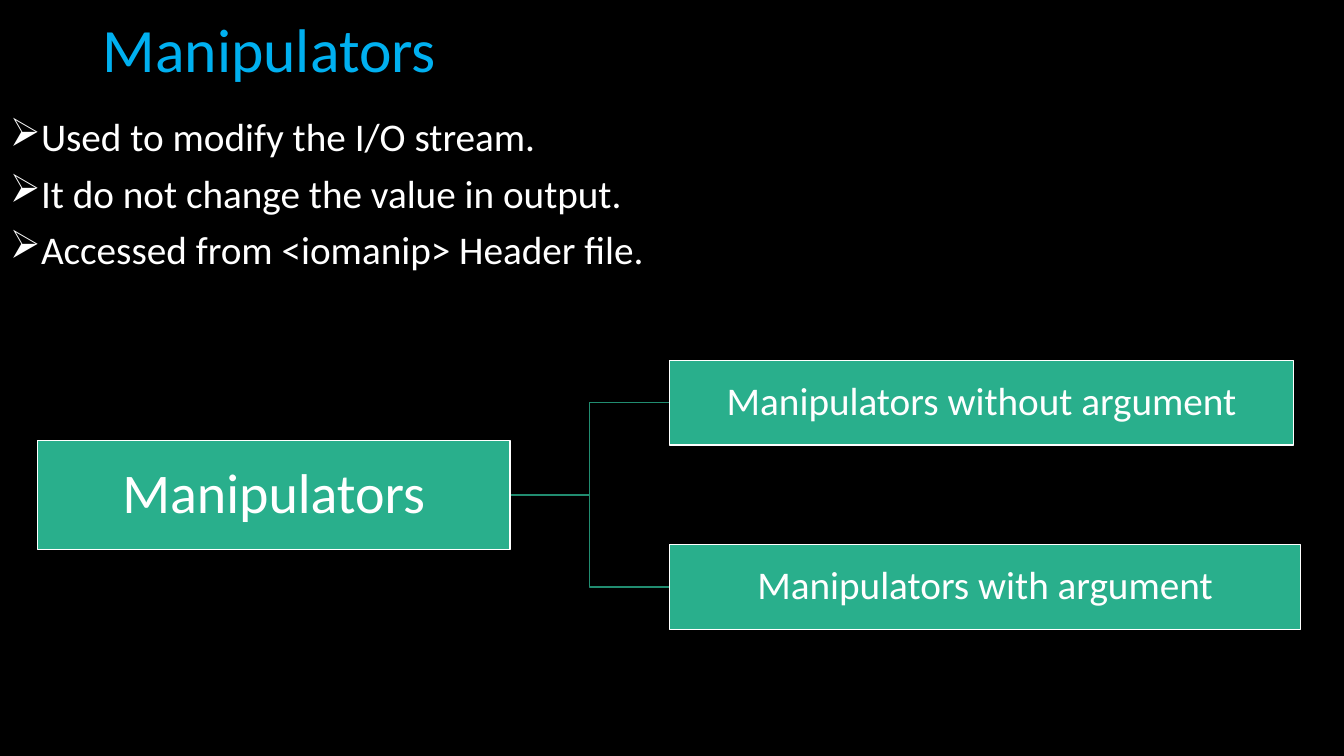
from lxml.etree import SubElement
from pptx import Presentation
from pptx.dml.color import RGBColor
from pptx.enum.text import MSO_ANCHOR, PP_ALIGN
from pptx.enum.shapes import MSO_SHAPE
from pptx.oxml.ns import qn
from pptx.util import Inches, Pt

COLORS = {"background": "000000", "title": "00B0F0", "text": "FFFFFF",
          "box": "29AF8C", "branch": "218C70"}
FONT = "Calibri"
WIDTH, HEIGHT = 13.33, 7.5

TITLE = "Manipulators"
POINTS = ["Used to modify the I/O stream.",
          "It do not change the value in output.",
          "Accessed from <iomanip> Header file."]
ROOT = "Manipulators"
BRANCHES = [("Manipulators without argument", 6.19),
            ("Manipulators with argument", 6.26)]

ROOT_LEFT, ROOT_WIDTH, ROOT_HEIGHT = 0.37, 4.69, 1.08
BRANCH_HEIGHT, BRANCH_PITCH = 0.84, 1.83
GAP = 1.58
MIDDLE = 4.91


def color(name):
    return RGBColor.from_string(COLORS[name])


def write(shape, lines, size, ink="text", align=PP_ALIGN.LEFT,
          anchor=MSO_ANCHOR.MIDDLE, inset=(0.1, 0.05), before=0, bullet=None):
    frame = shape.text_frame
    frame.word_wrap = True
    frame.vertical_anchor = anchor
    frame.margin_left = frame.margin_right = Inches(inset[0])
    frame.margin_top = frame.margin_bottom = Inches(inset[1])
    for index, line in enumerate(lines):
        paragraph = frame.add_paragraph() if index else frame.paragraphs[0]
        paragraph.alignment = align
        paragraph.line_spacing = 0.9
        paragraph.space_before = Pt(before)
        run = paragraph.add_run()
        run.text = line
        run.font.name = FONT
        run.font.size = Pt(size)
        run.font.color.rgb = color(ink)
        if bullet:
            properties = paragraph._p.get_or_add_pPr()
            properties.set("marL", str(Inches(0.25)))
            properties.set("indent", str(-Inches(0.25)))
            SubElement(properties, qn("a:buChar"), char=bullet)


def add_box(text, left, middle, width, height, size, inset):
    box = slide.shapes.add_shape(
        MSO_SHAPE.RECTANGLE, Inches(left), Inches(middle - height / 2),
        Inches(width), Inches(height))
    box.shadow.inherit = False
    box.fill.solid()
    box.fill.fore_color.rgb = color("box")
    box.line.color.rgb = color("text")
    box.line.width = Pt(1)
    write(box, [text], size, align=PP_ALIGN.CENTER, inset=(inset, inset))


def add_elbow(left, start, right, end):
    center = (left + right) / 2
    builder = slide.shapes.build_freeform(Inches(left), Inches(start))
    builder.add_line_segments(
        [(Inches(x), Inches(y)) for x, y in
         [(center, start), (center, end), (right, end)]], close=False)
    elbow = builder.convert_to_shape()
    elbow.shadow.inherit = False
    elbow.fill.background()
    elbow.line.color.rgb = color("branch")
    elbow.line.width = Pt(1)


presentation = Presentation()
presentation.slide_width, presentation.slide_height = Inches(WIDTH), Inches(HEIGHT)
slide = presentation.slides.add_slide(presentation.slide_layouts[6])
slide.background.fill.solid()
slide.background.fill.fore_color.rgb = color("background")

title = slide.shapes.add_textbox(Inches(0.92), Inches(0.07), Inches(11.5), Inches(0.9))
write(title, [TITLE], 44, ink="title")
body = slide.shapes.add_textbox(0, Inches(1.12), Inches(WIDTH), Inches(6.31))
write(body, POINTS, 28, anchor=MSO_ANCHOR.TOP, before=10, bullet="➢")

root_right = ROOT_LEFT + ROOT_WIDTH
branch_left = root_right + GAP
middles = [MIDDLE + (index - (len(BRANCHES) - 1) / 2) * BRANCH_PITCH
           for index in range(len(BRANCHES))]
for middle in middles:
    add_elbow(root_right, MIDDLE, branch_left, middle)
add_box(ROOT, ROOT_LEFT, MIDDLE, ROOT_WIDTH, ROOT_HEIGHT, 40, 0.03)
for (text, width), middle in zip(BRANCHES, middles):
    add_box(text, branch_left, middle, width, BRANCH_HEIGHT, 28, 0.02)

presentation.save("out.pptx")
